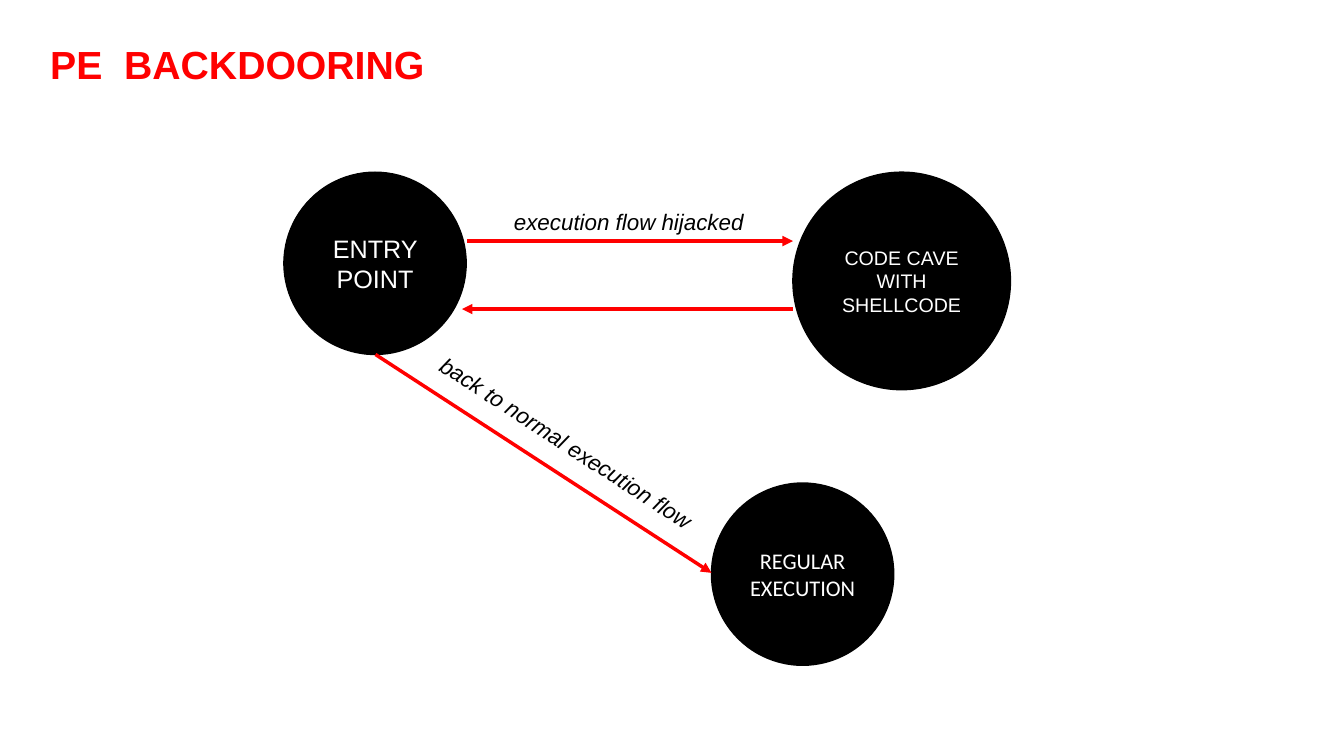
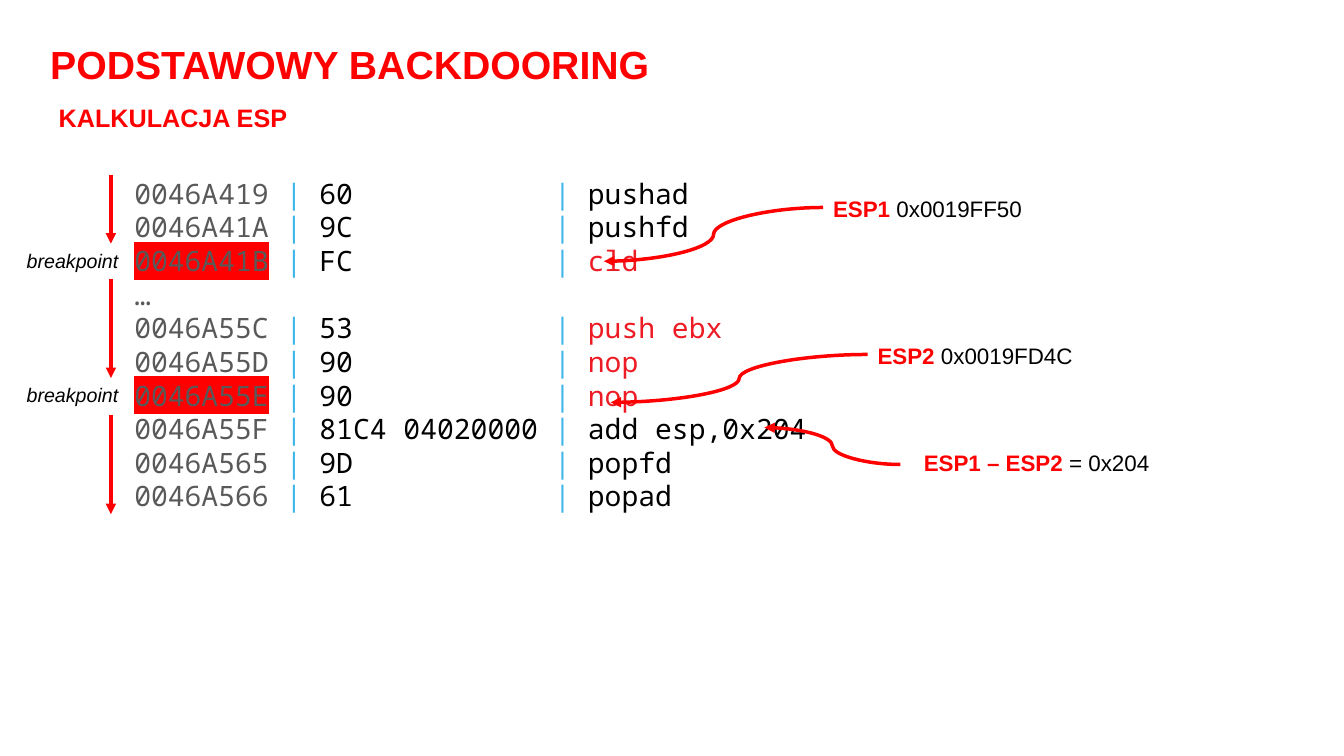
from lxml.etree import SubElement
from pptx import Presentation
from pptx.dml.color import RGBColor
from pptx.enum.shapes import MSO_CONNECTOR, MSO_SHAPE
from pptx.enum.text import MSO_ANCHOR, MSO_AUTO_SIZE, PP_ALIGN
from pptx.oxml.ns import qn
from pptx.util import Inches, Pt

COLUMNS, ROWS = 160, 90
CELL = Inches(7.5) / ROWS
RED, BLACK, WHITE = "FF0000", "000000", "FFFFFF"
ADDRESS_GREY, DIVIDER_BLUE, CODE_RED = "595959", "3CB5EA", "ED1B24"
SANS, MONO = "Arial", "Noto Sans Mono"
CODE_SIZE, BYTES_END = 20, 25
LINE_WIDTH = 2.5
FLOW_X = 13.2

CODE = [
    ("0046A419", "60", "pushad", BLACK, False),
    ("0046A41A", "9C", "pushfd", BLACK, False),
    ("0046A41B", "FC", "cld", CODE_RED, True),
    None,
    ("0046A55C", "53", "push ebx", CODE_RED, False),
    ("0046A55D", "90", "nop", CODE_RED, False),
    ("0046A55E", "90", "nop", CODE_RED, True),
    ("0046A55F", "81C4 04020000", "add esp,0x204", BLACK, False),
    ("0046A565", "9D", "popfd", BLACK, False),
    ("0046A566", "61", "popad", BLACK, False),
]


def grid(*cells):
    return [round(cell * CELL) for cell in cells]


def color(value):
    return RGBColor.from_string(value)


def add_run(paragraph, text, size, text_color=BLACK, font=SANS,
            bold=False, italic=False, highlight=None):
    run = paragraph.add_run()
    run.text = text
    run.font.name = font
    run.font.size = Pt(size)
    run.font.bold = bold
    run.font.italic = italic
    run.font.color.rgb = color(text_color)
    if highlight:
        properties = run._r.get_or_add_rPr()
        mark = SubElement(properties, qn("a:highlight"))
        SubElement(mark, qn("a:srgbClr"), val=highlight)
        properties.find(qn("a:solidFill")).addnext(mark)


def add_text_box(slide, place, wrap=True):
    box = slide.shapes.add_textbox(*grid(*place))
    box.text_frame.word_wrap = wrap
    box.text_frame.auto_size = MSO_AUTO_SIZE.SHAPE_TO_FIT_TEXT
    return box


def add_heading(slide, text, place, size=28):
    box = add_text_box(slide, place, wrap=False)
    add_run(box.text_frame.paragraphs[0], text, size, RED, bold=True)


def add_caption(slide, text, place, size=16, wrap=False, rotation=0):
    box = add_text_box(slide, place, wrap)
    box.rotation = rotation
    add_run(box.text_frame.paragraphs[0], text, size, italic=True)


def add_register_note(slide, name, value, place):
    paragraph = add_text_box(slide, place).text_frame.paragraphs[0]
    add_run(paragraph, name, 16, RED, bold=True)
    add_run(paragraph, value, 16)


def add_circle(slide, text, left, top, diameter, size, font=SANS):
    circle = slide.shapes.add_shape(
        MSO_SHAPE.OVAL, *grid(left, top, diameter, diameter))
    circle.shadow.inherit = False
    circle.fill.solid()
    circle.fill.fore_color.rgb = color(BLACK)
    circle.line.color.rgb = color(BLACK)
    circle.line.width = Pt(1)
    circle.text_frame.word_wrap = True
    circle.text_frame.vertical_anchor = MSO_ANCHOR.MIDDLE
    paragraph = circle.text_frame.paragraphs[0]
    paragraph.alignment = PP_ALIGN.CENTER
    add_run(paragraph, text, size, WHITE, font)


def add_arrow(slide, start, end, kind=MSO_CONNECTOR.STRAIGHT):
    arrow = slide.shapes.add_connector(kind, *grid(*start, *end))
    arrow.line.color.rgb = color(RED)
    arrow.line.width = Pt(LINE_WIDTH)
    properties = arrow._element.spPr
    SubElement(properties.find(qn("a:ln")), qn("a:tailEnd"), type="triangle")
    SubElement(properties, qn("a:effectLst"))


def add_code_line(paragraph, line):
    def code_run(text, text_color, highlight=None):
        add_run(paragraph, text, CODE_SIZE, text_color, MONO,
                highlight=highlight)

    paragraph.line_spacing = Pt(CODE_SIZE * 1.2)
    if line is None:
        code_run("…", ADDRESS_GREY)
        return
    address, code_bytes, instruction, instruction_color, breakpoint_set = line
    tabs = SubElement(paragraph._p.get_or_add_pPr(), qn("a:tabLst"))
    divider = Pt(BYTES_END * CODE_SIZE * 0.6)
    SubElement(tabs, qn("a:tab"), pos=str(int(divider)), algn="l")
    code_run(address, ADDRESS_GREY, RED if breakpoint_set else None)
    code_run(" | ", DIVIDER_BLUE)
    code_run(code_bytes + "\t", BLACK)
    code_run("| ", DIVIDER_BLUE)
    code_run(instruction, instruction_color)


def add_listing(slide, lines, place):
    frame = add_text_box(slide, place).text_frame
    for index, line in enumerate(lines):
        paragraph = frame.add_paragraph() if index else frame.paragraphs[0]
        add_code_line(paragraph, line)


def add_slide(presentation, title, title_width):
    slide = presentation.slides.add_slide(presentation.slide_layouts[6])
    add_heading(slide, title, (4.8, 4.2, title_width, 6.8))
    return slide


def build_flow_slide(presentation):
    slide = add_slide(presentation, "PE  BACKDOORING", 47.4)
    add_arrow(slide, (94.4, 36.8), (55, 36.8))
    add_arrow(slide, (55.6, 28.7), (94.4, 28.7))
    add_caption(slide, "execution flow hijacked", (60, 24.2, 30.1, 4.4))
    add_caption(slide, "back to normal execution flow",
                (48.6, 50.9, 38.8, 4.4), rotation=33)
    add_circle(slide, "ENTRY POINT", 33.8, 20.5, 21.7, 18)
    add_circle(slide, "CODE CAVE WITH SHELLCODE", 94.4, 20.5, 25.9, 14)
    add_circle(slide, "REGULAR EXECUTION", 84.7, 57.5, 21.7, 16, "Calibri")
    add_arrow(slide, (44.7, 42.2), (84.7, 68.2))


def build_stack_slide(presentation):
    slide = add_slide(presentation, "PODSTAWOWY BACKDOORING", 74.5)
    add_heading(slide, "KALKULACJA ESP", (5.8, 11.6, 29.9, 6.8), 18)
    add_listing(slide, CODE, (14.8, 20.4, 83.4, 41.6))
    for top, bottom in ((20.8, 29), (33.2, 45), (49.4, 61.2)):
        add_arrow(slide, (FLOW_X, top), (FLOW_X, bottom))
    for top, width in ((29, 13.3), (45, 16.1)):
        add_caption(slide, "breakpoint", (2, top, width, 4.1), 14, wrap=True)
    notes = [
        ("ESP1", " 0x0019FF50", (98, 22.6, 34.2, 4.4),
         (98, 24.7), (71.9, 31.1)),
        ("ESP2", " 0x0019FD4C", (103.3, 40.1, 36.2, 4.4),
         (103.3, 42.2), (72.7, 47.9)),
        ("ESP1 – ESP2 ", "= 0x204", (108.8, 52.9, 42.4, 4.8),
         (107.2, 55.3), (91, 50.9)),
    ]
    for name, value, place, start, end in notes:
        add_register_note(slide, name, value, place)
        add_arrow(slide, start, end, MSO_CONNECTOR.CURVE)


def main():
    presentation = Presentation()
    presentation.slide_width, presentation.slide_height = grid(COLUMNS, ROWS)
    build_flow_slide(presentation)
    build_stack_slide(presentation)
    presentation.save("out.pptx")


main()
